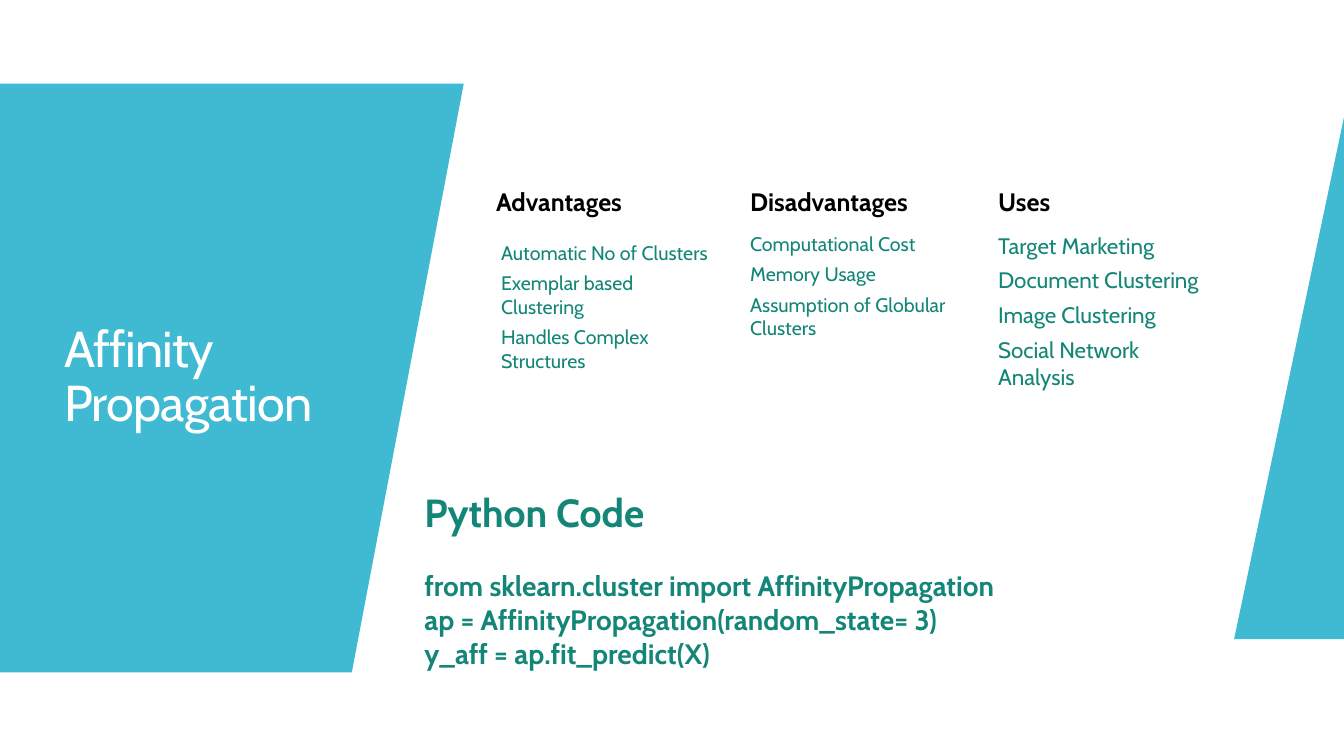
import pptx
import pptx.util
import pptx.dml.color
import pptx.enum.text

Inches, Pt = pptx.util.Inches, pptx.util.Pt

# Content
TITLE = "Affinity Propagation"
# heading, left of heading, (left, top) of list, text size, items
COLUMNS = [
    ("Advantages", 4.77, (4.82, 2.37), 14,
     ["Automatic No of Clusters", "Exemplar based Clustering",
      "Handles Complex Structures"]),
    ("Disadvantages", 7.29, (7.29, 2.28), 14,
     ["Computational Cost", "Memory Usage",
      "Assumption of Globular Clusters"]),
    ("Uses", 9.75, (9.75, 2.28), 16,
     ["Target Marketing", "Document Clustering", "Image Clustering",
      "Social Network Analysis"]),
]
CODE_HEAD = "Python Code"
CODE = [
    "from sklearn.cluster import AffinityPropagation",
    "ap = AffinityPropagation(random_state= 3)",
    "y_aff = ap.fit_predict(X)",
]

# Style
FONT = "Cabin"
COLORS = {"panel": "40BAD2", "title": "FFFFFF", "head": "000000",
          "body": "138677"}
PANELS = [
    [(0, 0.83), (4.6, 0.83), (3.49, 6.67), (0, 6.67)],
    [(13.33, 1.16), (13.33, 6.34), (12.24, 6.34)],
]
GAP = 0.35  # space after a paragraph, as a share of its text size


def rgb(name):
    return pptx.dml.color.RGBColor.from_string(COLORS[name])


def add_panel(slide, points):
    start, *rest = [(Inches(x), Inches(y)) for x, y in points]
    build = slide.shapes.build_freeform(*start)
    build.add_line_segments(rest, close=True)
    panel = build.convert_to_shape()
    panel.shadow.inherit = False
    panel.fill.solid()
    panel.fill.fore_color.rgb = rgb("panel")
    panel.line.fill.background()


def add_text(slide, box, lines, size, color, bold=False, gap=0, inset=None):
    frame = slide.shapes.add_textbox(*map(Inches, box)).text_frame
    frame.word_wrap = True
    if inset:
        (frame.margin_left, frame.margin_top,
         frame.margin_right, frame.margin_bottom) = map(Inches, inset)
    frame.text = "\n".join(lines)
    for par in frame.paragraphs:
        par.font.name = FONT
        par.font.size = Pt(size)
        par.font.bold = bold
        par.font.color.rgb = rgb(color)
        par.space_after = Pt(gap * size)
    return frame


def main():
    deck = pptx.Presentation()
    deck.slide_width, deck.slide_height = Inches(13.33), Inches(7.5)
    slide = deck.slides.add_slide(deck.slide_layouts[6])

    # Slanted side panels
    for points in PANELS:
        add_panel(slide, points)

    # Title
    frame = add_text(slide, (0.54, 1.84, 3.03, 3.82), [TITLE], 36, "title")
    frame.vertical_anchor = pptx.enum.text.MSO_ANCHOR.MIDDLE
    par = frame.paragraphs[0]
    par.line_spacing = 0.9
    par.runs[0].font._element.set("spc", "-60")

    # Three columns
    for head, left, (x, y), size, items in COLUMNS:
        add_text(slide, (left, 1.82, 2.26, 0.38), [head], 18, "head",
                 True, GAP, (0.15, 0.03, 0.03, 0.03))
        add_text(slide, (x, y, 2.26, 3.44), items, size, "body",
                 False, GAP, (0.15, 0.02, 0.02, 0.02))

    # Code
    frame = add_text(slide, (4.11, 4.79, 7.91, 1.92), [CODE_HEAD] + CODE,
                     20, "body", True)
    frame.auto_size = pptx.enum.text.MSO_AUTO_SIZE.SHAPE_TO_FIT_TEXT
    frame.paragraphs[0].font.size = Pt(28)
    frame.paragraphs[1].space_before = Pt(24.3)

    deck.save("out.pptx")


if __name__ == "__main__":
    main()
